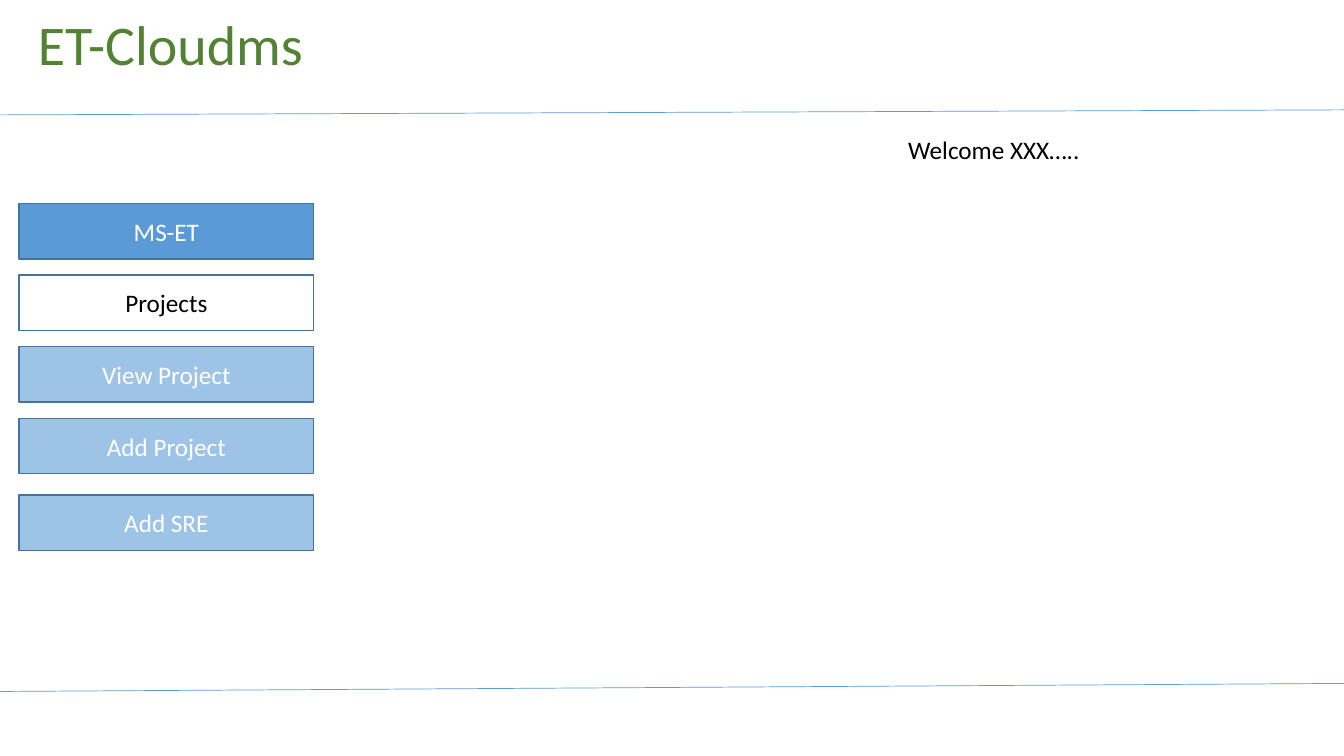
from lxml.etree import SubElement
from pptx import Presentation
from pptx.dml.color import RGBColor
from pptx.enum.shapes import MSO_CONNECTOR, MSO_SHAPE
from pptx.enum.text import MSO_ANCHOR, MSO_AUTO_SIZE, PP_ALIGN
from pptx.oxml.ns import qn
from pptx.util import Inches, Pt

# Content
TITLE = "ET-Cloudms"
WELCOME = "Welcome XXX….."
# label, fill, text colour, extra gap above
MENU = [
    ("MS-ET", "blue", "white", 0),
    ("Projects", None, "black", 0),
    ("View Project", "pale", "white", 0),
    ("Add Project", "pale", "white", 0),
    ("Add SRE", "pale", "white", 0.05),
]
RULES = [(1.14, 1.09), (6.86, 6.78)]  # height at left and right edge

COLORS = {
    "blue": "5B9BD5", "pale": "9DC3E6", "edge": "43739E",
    "green": "548235", "white": "FFFFFF", "black": "000000",
}
FONT = "Calibri"

# Layout in inches
WIDTH, HEIGHT = 13.33, 7.5
MENU_LEFT, MENU_TOP, MENU_STEP = 0.19, 2.02, 0.71
BUTTON_WIDTH, BUTTON_HEIGHT = 2.92, 0.55


def color(name):
    return RGBColor.from_string(COLORS[name])


def write(box, text, size, ink, align):
    frame = box.text_frame
    frame.word_wrap = True
    para = frame.paragraphs[0]
    para.alignment = align
    span = para.add_run()
    span.text = text
    span.font.name = FONT
    span.font.size = Pt(size)
    span.font.color.rgb = color(ink)


def add_box(page, kind, place, text, size, ink, fill=None, edge=None):
    box = page.shapes.add_shape(kind, *map(Inches, place))
    box.shadow.inherit = False
    if fill:
        box.fill.solid()
        box.fill.fore_color.rgb = color(fill)
    else:
        box.fill.background()
    if edge:
        box.line.color.rgb = color(edge)
        box.line.width = Pt(1)
    else:
        box.line.fill.background()
    box.text_frame.vertical_anchor = MSO_ANCHOR.MIDDLE
    write(box, text, size, ink, PP_ALIGN.CENTER)


def add_rule(page, left_y, right_y):
    rule = page.shapes.add_connector(
        MSO_CONNECTOR.STRAIGHT, 0, Inches(left_y), Inches(WIDTH), Inches(right_y))
    rule.line.color.rgb = color("blue")
    rule.line.width = Pt(0.5)
    SubElement(rule._element.spPr, qn("a:effectLst"))


def main():
    deck = Presentation()
    deck.slide_width, deck.slide_height = Inches(WIDTH), Inches(HEIGHT)
    page = deck.slides.add_slide(deck.slide_layouts[6])

    # Header and footer
    add_box(page, MSO_SHAPE.ROUNDED_RECTANGLE, (0, 0, 3.38, 0.86), TITLE, 40, "green")
    for left_y, right_y in RULES:
        add_rule(page, left_y, right_y)

    # Greeting
    greeting = page.shapes.add_textbox(*map(Inches, (8.91, 1.28, 4.14, 0.4)))
    write(greeting, WELCOME, 18, "black", PP_ALIGN.LEFT)
    greeting.text_frame.auto_size = MSO_AUTO_SIZE.SHAPE_TO_FIT_TEXT

    # Side menu
    for row, (label, fill, ink, extra) in enumerate(MENU):
        top = MENU_TOP + row * MENU_STEP + extra
        place = (MENU_LEFT, top, BUTTON_WIDTH, BUTTON_HEIGHT)
        add_box(page, MSO_SHAPE.RECTANGLE, place, label, 18, ink, fill, "edge")

    deck.save("out.pptx")


if __name__ == "__main__":
    main()
